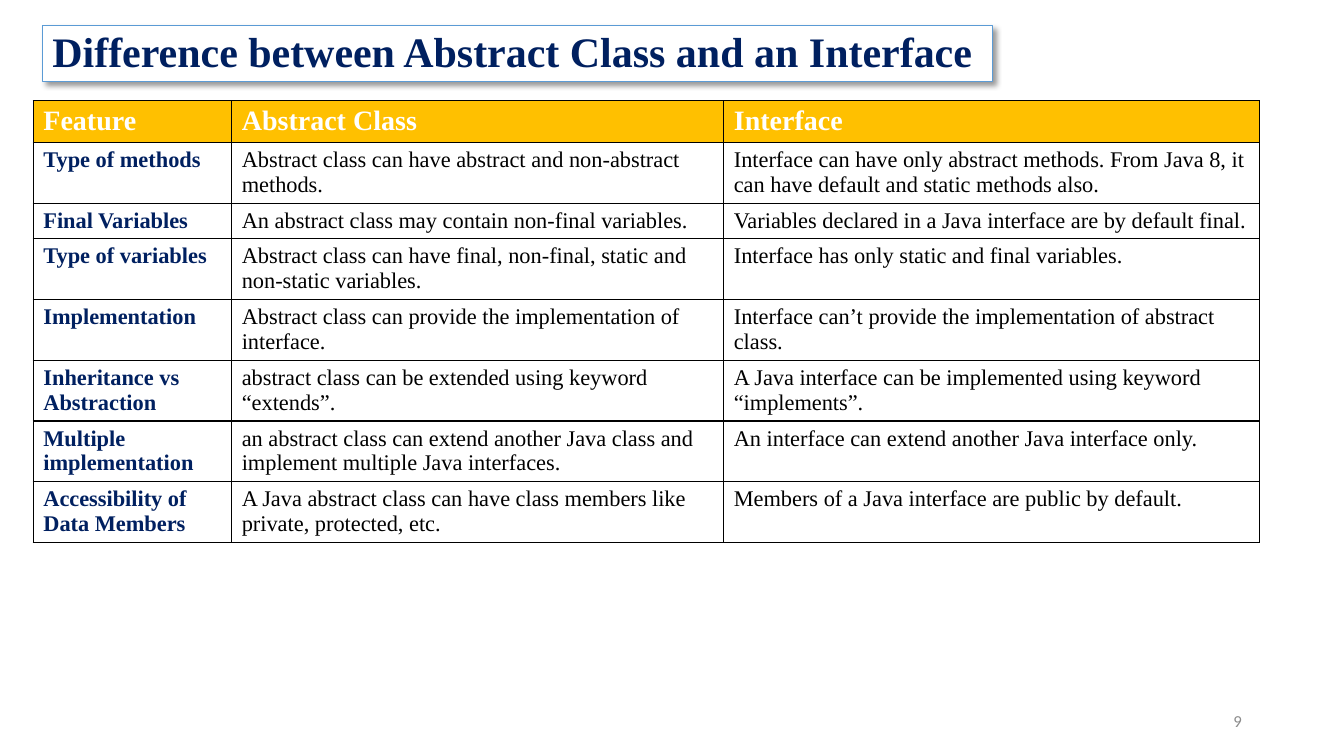
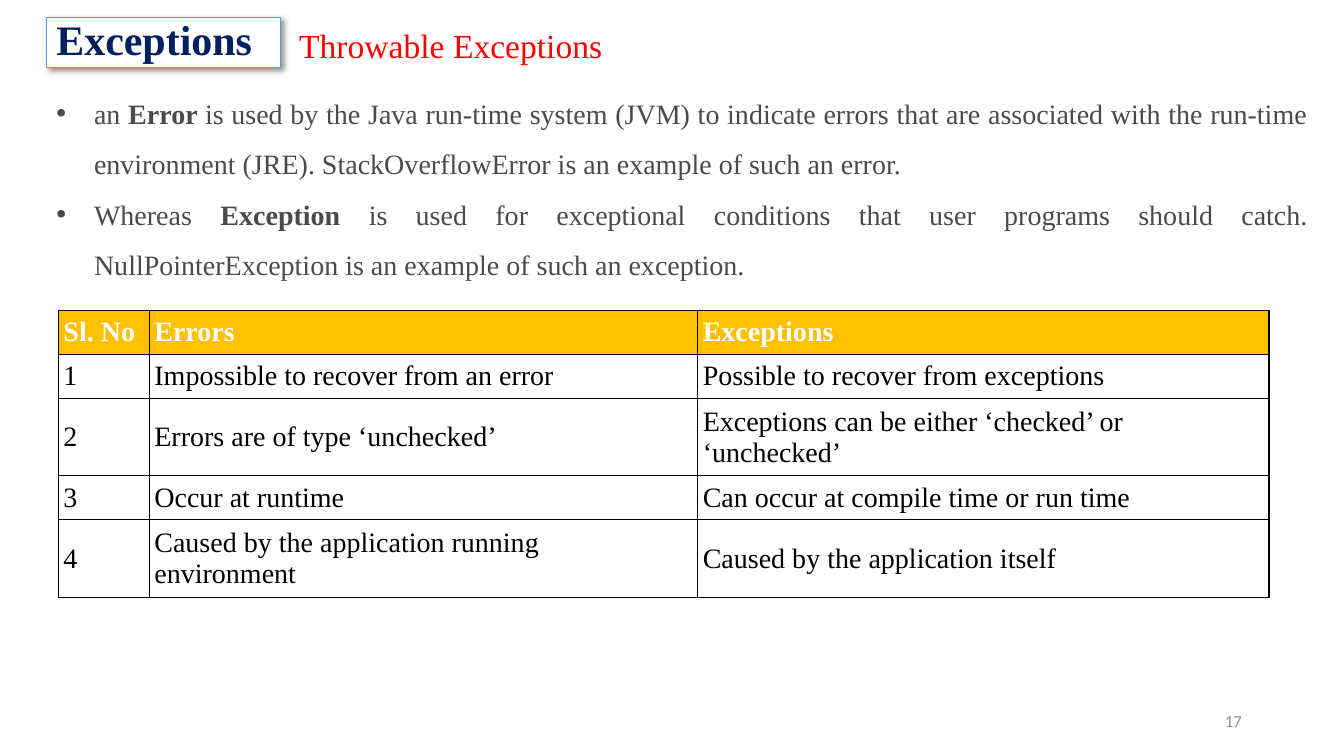
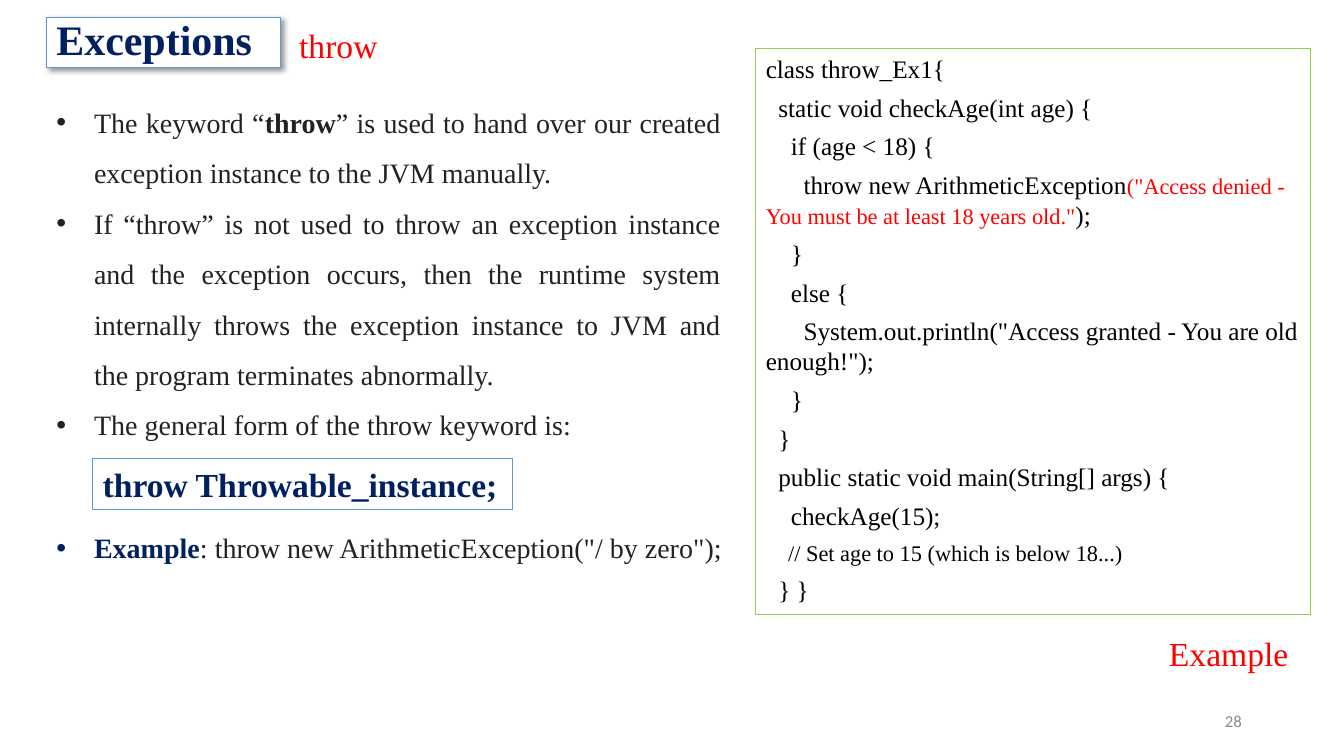
import pptx
import pptx.dml.color
import pptx.enum.shapes
import pptx.enum.text
import pptx.oxml
import pptx.oxml.ns
import pptx.util
from lxml import etree

Cm = pptx.util.Cm
Pt = pptx.util.Pt
ALIGN = pptx.enum.text.PP_ALIGN
ANCHOR = pptx.enum.text.MSO_ANCHOR
qn = pptx.oxml.ns.qn

# Shared look
NAVY, RED, BLACK, WHITE = "002060", "FF0000", "000000", "FFFFFF"
GOLD, BLUE, GREEN, GRAY = "FFC000", "5B9BD5", "92D050", "8C8C8C"
SERIF = "Times New Roman"
HEADING = {"size": 30, "color": NAVY, "bold": True}
CAPTION = {"size": 24, "color": RED}
HEADER = {"size": 20, "color": WHITE, "bold": True}
BOLD = {"bold": True}
EXCEPTIONS_BOX = (1.17, 0.43, 5.89, 1.27)
BODY_LEFT = 1.17
CAPTION_TOP = 0.61

FEATURES = [
    ("Feature", "Abstract Class", "Interface"),
    ("Type of methods",
     "Abstract class can have abstract and non-abstract methods.",
     "Interface can have only abstract methods. From Java 8, it can have default "
     "and static methods also."),
    ("Final Variables",
     "An abstract class may contain non-final variables.",
     "Variables declared in a Java interface are by default final."),
    ("Type of variables",
     "Abstract class can have final, non-final, static and non-static variables.",
     "Interface has only static and final variables."),
    ("Implementation",
     "Abstract class can provide the implementation of interface.",
     "Interface can’t provide the implementation of abstract class."),
    ("Inheritance vs Abstraction",
     "abstract class can be extended using keyword “extends”.",
     "A Java interface can be implemented using keyword “implements”."),
    ("Multiple implementation",
     "an abstract class can extend another Java class and implement multiple Java "
     "interfaces.",
     "An interface can extend another Java interface only."),
    ("Accessibility of Data Members",
     "A Java abstract class can have class members like private, protected, etc.",
     "Members of a Java interface are public by default."),
]

ERRORS = [
    ("Sl. No", "Errors", "Exceptions"),
    ("1", "Impossible to recover from an error", "Possible to recover from exceptions"),
    ("2", "Errors are of type ‘unchecked’",
     "Exceptions can be either ‘checked’ or ‘unchecked’"),
    ("3", "Occur at runtime", "Can occur at compile time or run time"),
    ("4", "Caused by the application running environment",
     "Caused by the application itself"),
]

ERROR_POINTS = [
    ["an ", ("Error ", BOLD),
     "is used by the Java run-time system (JVM) to indicate errors that are associated "
     "with the run-time environment (JRE). StackOverflowError is an example of such an "
     "error."],
    ["Whereas ", ("Exception ", BOLD),
     "is used for exceptional conditions that user programs should catch. "
     "NullPointerException is an example of such an exception."],
]

THROW_POINTS = [
    ["The keyword “", ("throw", BOLD),
     "” is used to hand over our created exception instance to the JVM manually."],
    ["If “throw” is not used to throw an exception instance and the exception occurs, "
     "then the runtime system internally throws the exception instance to JVM and the "
     "program terminates abnormally."],
    ["The general form of the throw keyword is:"],
]

THROW_EXAMPLE = [
    [("Example", {"color": NAVY, "bold": True}),
     ': throw new ArithmeticException("/ by zero");'],
]

CODE = [
    ["class throw_Ex1{"],
    ["  static void checkAge(int age) {"],
    ["    if (age < 18) {"],
    ["      throw new ArithmeticException",
     ('("Access denied -  You must be at least 18 years old."', {"size": 16, "color": RED}),
     ");"],
    ["    }"],
    ["    else {"],
    ['      System.out.println("Access granted - You are old enough!");'],
    ["    }"],
    ["  }"],
    ["  public static void main(String[] args) {"],
    ["    checkAge(15);"],
    [("    // Set age to 15 (which is below 18...)", {"size": 16})],
    ["  } }"],
]


def rgb(value):
    return pptx.dml.color.RGBColor.from_string(value)


def set_all(target, values):
    for name, value in values.items():
        setattr(target, name, value)


def add_shadow(effects):
    """Fill an effect list with the soft shadow to the lower right."""
    shadow = etree.SubElement(effects, qn("a:outerShdw"), blurRad=str(Pt(4)),
                              dist=str(Pt(3)), dir="2700000", algn="tl", rotWithShape="0")
    color = etree.SubElement(shadow, qn("a:srgbClr"), val=BLACK)
    etree.SubElement(color, qn("a:alpha"), val="40000")


# Text
def add_run(paragraph, text, size, color, bold=False, font=SERIF, shadow=False):
    run = paragraph.add_run()
    run.text = text
    set_all(run.font, {"name": font, "size": Pt(size), "bold": bold})
    run.font.color.rgb = rgb(color)
    if shadow:
        effects = pptx.oxml.parse_xml(
            f'<a:effectLst {pptx.oxml.ns.nsdecls("a")}/>')
        run.font.fill._xPr.find(qn("a:solidFill")).addnext(effects)
        add_shadow(effects)


def add_bullet(paragraph):
    properties = paragraph._p.get_or_add_pPr()
    properties.set("marL", str(Cm(0.95)))
    properties.set("indent", str(-Cm(0.95)))
    etree.SubElement(properties, qn("a:buFont"), typeface="Arial")
    etree.SubElement(properties, qn("a:buChar"), char="•")


def write(frame, paragraphs, style, layout=None, bullets=False, gap=0):
    """Each paragraph is a list of plain strings or (string, changed style) pairs."""
    for index, runs in enumerate(paragraphs):
        paragraph = frame.add_paragraph() if index else frame.paragraphs[0]
        set_all(paragraph, {"alignment": ALIGN.LEFT, **(layout or {})})
        if gap and index:
            paragraph.space_before = Pt(gap)
        if bullets:
            add_bullet(paragraph)
        for run in runs:
            text, change = (run, {}) if isinstance(run, str) else run
            add_run(paragraph, text, **{**style, **change})


# Elements
def add_text(slide, box, paragraphs, style, anchor=ANCHOR.TOP, wrap=True, **options):
    shape = slide.shapes.add_textbox(*map(Cm, box))
    set_all(shape.text_frame, {"word_wrap": wrap, "vertical_anchor": anchor})
    write(shape.text_frame, paragraphs, style, **options)


def add_frame(slide, box, paragraphs, style, line, fill=None, shadow=False,
              anchor=ANCHOR.TOP, **options):
    kind = pptx.enum.shapes.MSO_SHAPE.RECTANGLE
    shape = slide.shapes.add_shape(kind, *map(Cm, box))
    shape.shadow.inherit = False
    if fill:
        shape.fill.solid()
        shape.fill.fore_color.rgb = rgb(fill)
    else:
        shape.fill.background()
    shape.line.color.rgb = rgb(line)
    shape.line.width = Pt(0.75)
    if shadow:
        add_shadow(shape._element.spPr.find(qn("a:effectLst")))
    set_all(shape.text_frame, {"word_wrap": True, "vertical_anchor": anchor})
    write(shape.text_frame, paragraphs, style, **options)


def add_title(slide, text, box):
    add_frame(slide, box, [[text]], HEADING, BLUE, fill=WHITE, shadow=True,
              anchor=ANCHOR.MIDDLE, layout={"line_spacing": 0.9})


def add_caption(slide, text, left, top, width):
    add_text(slide, (left, top, width, 1.17), [[text]], {**CAPTION, "shadow": True},
             anchor=ANCHOR.MIDDLE, wrap=False, layout={"line_spacing": 0.9})


def add_points(slide, box, points, color, alignment=ALIGN.JUSTIFY):
    add_text(slide, box, points, {"size": 20, "color": color}, bullets=True,
             layout={"alignment": alignment, "line_spacing": 1.5})


def add_number(slide, number):
    add_text(slide, (23.93, 17.65, 7.62, 1.02), [[str(number)]],
             {"size": 12, "color": GRAY, "font": "Calibri"}, anchor=ANCHOR.MIDDLE,
             layout={"alignment": ALIGN.RIGHT})


def add_grid(slide, left, top, widths, heights, rows, first_style, body_style, cell_format):
    graphic = slide.shapes.add_table(len(rows), len(widths), Cm(left), Cm(top),
                                     Cm(sum(widths)), Cm(sum(heights)))
    table = graphic.table
    for column, width in zip(table.columns, widths):
        column.width = Cm(width)
    for row_index, (row, height) in enumerate(zip(rows, heights)):
        table.rows[row_index].height = Cm(height)
        for column_index, text in enumerate(row):
            cell = table.cell(row_index, column_index)
            set_all(cell, cell_format)
            add_borders(cell)
            cell.fill.solid()
            cell.fill.fore_color.rgb = rgb(WHITE if row_index else GOLD)
            body = body_style if column_index else first_style
            write(cell.text_frame, [[text]], body if row_index else HEADER)


def add_borders(cell):
    properties = cell._tc.get_or_add_tcPr()
    for side in ("lnL", "lnR", "lnT", "lnB"):
        line = etree.SubElement(properties, qn(f"a:{side}"), w=str(Pt(1)))
        fill = etree.SubElement(line, qn("a:solidFill"))
        etree.SubElement(fill, qn("a:srgbClr"), val=BLACK)


# Slides
def build_comparison(slide):
    add_grid(slide, 0.84, 2.54, (5, 12.4, 13.51), (1.06, 1.53, 0.89) + (1.53,) * 5,
             FEATURES, {"size": 16, "color": NAVY, "bold": True},
             {"size": 16, "color": BLACK}, {"vertical_anchor": ANCHOR.TOP})
    add_title(slide, "Difference between Abstract Class and an Interface",
              (1.07, 0.64, 23.95, 1.42))
    add_number(slide, 9)


def build_throwable(slide):
    add_title(slide, "Exceptions", EXCEPTIONS_BOX)
    add_caption(slide, "Throwable Exceptions", 7.29, CAPTION_TOP, 8.23)
    add_points(slide, (BODY_LEFT, 1.88, 32.05, 5.38), ERROR_POINTS, "4A4A4A")
    body = {"size": 20, "color": BLACK}
    add_grid(slide, 1.47, 7.82, (2.29, 13.82, 14.4), (1.11, 1.11, 1.94, 1.11, 1.94),
             ERRORS, body, body,
             {"vertical_anchor": ANCHOR.MIDDLE, "margin_left": Cm(0.13)})
    add_number(slide, 17)


def build_throw(slide):
    add_title(slide, "Exceptions", EXCEPTIONS_BOX)
    add_caption(slide, "throw", 7.29, CAPTION_TOP, 2.51)
    add_points(slide, (BODY_LEFT, 2.11, 17.25, 9.25), THROW_POINTS, "222222")
    add_frame(slide, (2.34, 11.56, 10.57, 1.27), [["throw Throwable_instance;"]],
              {"size": 24, "color": NAVY, "bold": True}, BLUE)
    add_points(slide, (BODY_LEFT, 12.83, 20.12, 1.55), THROW_EXAMPLE, "222222", ALIGN.LEFT)
    add_frame(slide, (19.05, 1.22, 13.97, 14.27), CODE, {"size": 18, "color": BLACK},
              GREEN, gap=6)
    add_caption(slide, "Example", 29.21, 15.93, 3.56)
    add_number(slide, 28)


def main():
    presentation = pptx.Presentation()
    presentation.slide_width, presentation.slide_height = Cm(33.87), Cm(19.05)
    for build in (build_comparison, build_throwable, build_throw):
        build(presentation.slides.add_slide(presentation.slide_layouts[6]))
    presentation.save("out.pptx")


if __name__ == "__main__":
    main()
